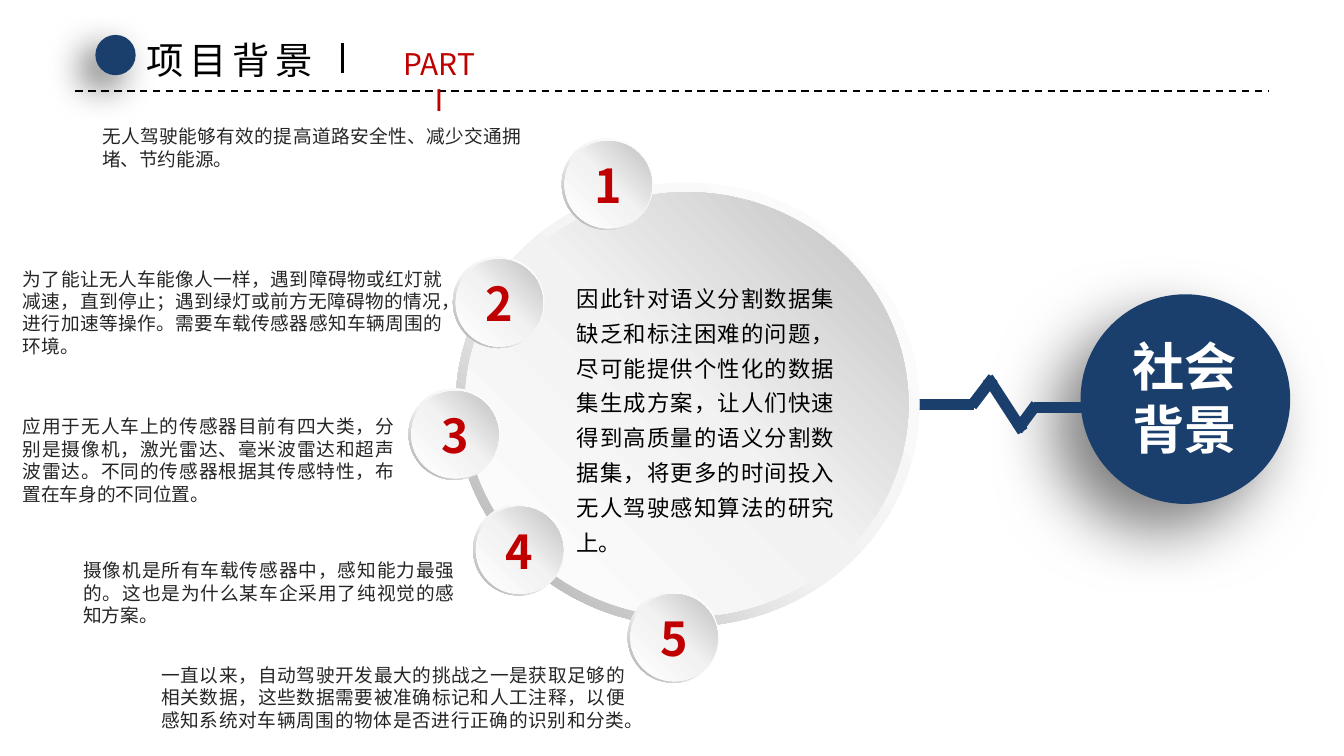
from typing import NamedTuple

from lxml.etree import SubElement
from pptx import Presentation
from pptx.dml.color import RGBColor
from pptx.enum.dml import MSO_LINE
from pptx.enum.shapes import MSO_CONNECTOR, MSO_SHAPE
from pptx.enum.text import MSO_ANCHOR, MSO_AUTO_SIZE, PP_ALIGN
from pptx.oxml.ns import qn
from pptx.util import Inches, Pt

FONT = "Noto Sans CJK SC"
NAVY, RED, BLACK, WHITE, GREY = "1A3F6C", "C00000", "000000", "FFFFFF", "262626"
RIM = [(0, WHITE), (55, "F2F2F2"), (100, "A6A6A6")]
FACE = [(0, WHITE), (51, "F2F2F2"), (100, "BFBFBF")]


class Box(NamedTuple):
    x: float
    y: float
    w: float
    h: float


class Point(NamedTuple):
    """A numbered bead on the ring and the note beside it."""
    x: float
    y: float
    note: Box
    text: str


class Line(NamedTuple):
    x1: float
    y1: float
    x2: float
    y2: float
    color: str = NAVY
    width: float = 6
    dash: bool = False


POINTS = [
    Point(4.18, 1.03, Box(0.76, 0.93, 3.12, 0.34),
          "无人驾驶能够有效的提高道路安全性、减少交通拥堵、节约能源。"),
    Point(3.37, 1.91, Box(0.17, 1.99, 3.12, 0.67),
          "为了能让无人车能像人一样，遇到障碍物或红灯就减速，直到停止；遇到绿灯或前方无障碍物的情况，"
          "进行加速等操作。需要车载传感器感知车辆周围的环境。"),
    Point(3.04, 2.89, Box(0.17, 3.09, 2.76, 0.67),
          "应用于无人车上的传感器目前有四大类，分别是摄像机，激光雷达、毫米波雷达和超声波雷达。"
          "不同的传感器根据其传感特性，布置在车身的不同位置。"),
    Point(3.52, 3.75, Box(0.62, 4.16, 2.76, 0.5),
          "摄像机是所有车载传感器中，感知能力最强的。这也是为什么某车企采用了纯视觉的感知方案。"),
    Point(4.67, 4.4, Box(1.2, 4.94, 3.45, 0.5),
          "一直以来，自动驾驶开发最大的挑战之一是获取足够的相关数据，这些数据需要被准确标记和人工注释，"
          "以便感知系统对车辆周围的物体是否进行正确的识别和分类。"),
]
PULSE = [
    Line(6.76, 3.01, 7.25, 3.01),
    Line(7.69, 3.03, 8.1, 3.03),
    Line(7.23, 3.02, 7.39, 2.81),
    Line(7.57, 3.2, 7.71, 3.01),
    Line(7.61, 3.21, 7.35, 2.81),
]
HEAD = [
    Line(0.56, 0.68, 9.44, 0.68, BLACK, 1, True),
    Line(2.55, 0.32, 2.55, 0.54, BLACK, 1.5),
]


def rgb(color: str) -> RGBColor:
    return RGBColor.from_string(color)


def write(shape, text: str, size: float, color: str, align=PP_ALIGN.LEFT, bold: bool = False,
          inset: bool = False, wrap: bool = True, space: float = 1, track: int = 0) -> None:
    frame = shape.text_frame
    frame.text = text
    frame.word_wrap = wrap
    frame.auto_size = MSO_AUTO_SIZE.NONE
    if not inset:
        frame.margin_left = frame.margin_right = 0
        frame.margin_top = frame.margin_bottom = 0
    for para in frame.paragraphs:
        para.alignment = align
        para.line_spacing = space
        for run in para.runs:
            font = run.font
            font.size, font.bold, font.name = Pt(size), bold, FONT
            font.color.rgb = rgb(color)
            props = run._r.get_or_add_rPr()
            SubElement(props, qn("a:ea")).set("typeface", FONT)
            if track:
                props.set("spc", str(track * 100))


def add_text(slide, box: Box, text: str, size: float, color: str, **style) -> None:
    shape = slide.shapes.add_textbox(*map(Inches, box))
    write(shape, text, size, color, **style)


def add_round(slide, box: Box, kind=MSO_SHAPE.OVAL):
    shape = slide.shapes.add_shape(kind, *map(Inches, box))
    shape.shadow.inherit = False
    shape.line.fill.background()
    return shape


def shade(shape, stops: list, angle: int) -> None:
    """Fill with a linear gradient; the angle runs clockwise."""
    shape.fill.background()
    blank = shape._element.spPr.find(qn("a:noFill"))
    blank.tag = qn("a:gradFill")
    group = SubElement(blank, qn("a:gsLst"))
    for place, color in stops:
        stop = SubElement(group, qn("a:gs"), pos=str(place * 1000))
        SubElement(stop, qn("a:srgbClr"), val=color)
    SubElement(blank, qn("a:lin"), ang=str(angle * 60000), scaled="0")


def add_dot(slide, box: Box, alpha: int, blur: int, dist: int) -> None:
    """Navy disc with a soft shadow to the lower left."""
    dot = add_round(slide, box)
    dot.fill.solid()
    dot.fill.fore_color.rgb = rgb(NAVY)
    glow = SubElement(dot._element.spPr.find(qn("a:effectLst")), qn("a:outerShdw"),
                      blurRad=str(Pt(blur)), dist=str(Pt(dist)), dir=str(135 * 60000),
                      algn="tr", rotWithShape="0")
    tint = SubElement(glow, qn("a:srgbClr"), val=BLACK)
    SubElement(tint, qn("a:alpha"), val=str(alpha * 1000))


def add_disc(slide, rim: Box, face: Box):
    ring = add_round(slide, rim, MSO_SHAPE.DONUT)
    ring.adjustments[0] = 0.049
    shade(ring, RIM, 135)
    disc = add_round(slide, face)
    shade(disc, FACE, 315)
    return disc


def add_line(slide, line: Line) -> None:
    ends = map(Inches, line[:4])
    shape = slide.shapes.add_connector(MSO_CONNECTOR.STRAIGHT, *ends)
    shape.line.color.rgb = rgb(line.color)
    shape.line.width = Pt(line.width)
    if line.dash:
        shape.line.dash_style = MSO_LINE.DASH
    SubElement(shape._element.spPr, qn("a:effectLst"))


def main() -> None:
    # Widescreen, 16 to 9
    deck = Presentation()
    deck.slide_width = Inches(10)
    deck.slide_height = Inches(10) * 9 // 16
    slide = deck.slides.add_slide(deck.slide_layouts[5])

    # Header
    title = slide.shapes.title
    title.left, title.top, title.width, title.height = map(Inches, Box(0.99, 0.23, 1.49, 0.44))
    write(title, "项目背景", 20, BLACK, inset=True, wrap=False, track=3)
    title.text_frame.vertical_anchor = MSO_ANCHOR.TOP
    add_dot(slide, Box(0.71, 0.26, 0.3, 0.3), 60, 20, 10)
    for line in HEAD:
        add_line(slide, line)
    add_text(slide, Box(2.78, 0.29, 0.98, 0.37), "PART\vⅠ", 16, RED,
             align=PP_ALIGN.CENTER, inset=True, wrap=False)

    # Topic disc and the pulse line leading to it
    add_dot(slide, Box(8.04, 2.19, 1.56, 1.56), 50, 35, 20)
    for line in PULSE:
        add_line(slide, line)
    add_text(slide, Box(8.42, 2.49, 0.79, 0.94), "社会\n背景", 28, WHITE,
             align=PP_ALIGN.CENTER, bold=True, wrap=False)

    # Main disc with the conclusion
    add_disc(slide, Box(3.39, 1.36, 3.45, 3.3), Box(3.46, 1.43, 3.3, 3.16))
    add_text(slide, Box(4.29, 2.06, 1.92, 2.06),
             "因此针对语义分割数据集缺乏和标注困难的问题，尽可能提供个性化的数据集生成方案，"
             "让人们快速得到高质量的语义分割数据集，将更多的时间投入无人驾驶感知算法的研究上。",
             12, BLACK, align=PP_ALIGN.JUSTIFY, space=1.3)

    # Numbered beads and notes
    for num, point in enumerate(POINTS, 1):
        bead = add_disc(slide, Box(point.x, point.y, 0.68, 0.68),
                        Box(point.x + 0.02, point.y + 0.02, 0.65, 0.65))
        write(bead, str(num), 25, RED, align=PP_ALIGN.CENTER, bold=True, inset=True)
        bead.text_frame.vertical_anchor = MSO_ANCHOR.MIDDLE
        add_text(slide, point.note, point.text, 10, GREY, align=PP_ALIGN.JUSTIFY)

    deck.save("out.pptx")


if __name__ == "__main__":
    main()
